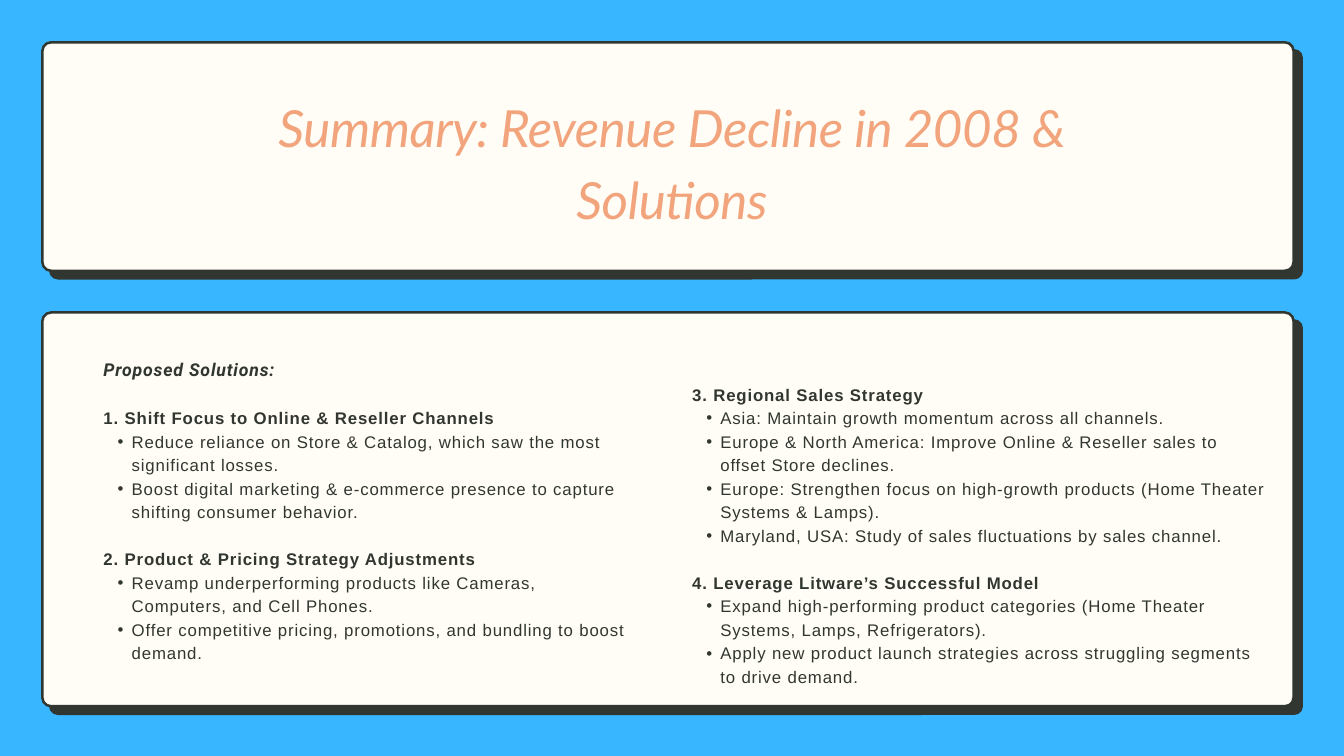
from lxml.etree import SubElement
from pptx import Presentation
from pptx.dml.color import RGBColor
from pptx.enum.shapes import MSO_SHAPE as Shape
from pptx.enum.text import MSO_AUTO_SIZE as AutoSize, PP_ALIGN as Align
from pptx.oxml.ns import qn
from pptx.util import Pt

PX = 9144  # 100 px to the inch
COLORS = {"sky": "38B6FF", "cream": "FFFDF5", "ink": "313730", "peach": "F2A47D"}
CORNER = 13
LINE_PITCH = 25.2

deck = Presentation()
deck.slide_width, deck.slide_height = 2000 * PX, 1125 * PX
page = deck.slides.add_slide(deck.slide_layouts[6])
page.background.fill.solid()
page.background.fill.fore_color.rgb = RGBColor.from_string(COLORS["sky"])


def add_text_box(left, top, width, height):
    box = page.shapes.add_textbox(left * PX, top * PX, width * PX, height * PX)
    frame = box.text_frame
    frame.margin_left = frame.margin_right = frame.margin_top = frame.margin_bottom = 0
    frame.word_wrap = True
    frame.auto_size = AutoSize.SHAPE_TO_FIT_TEXT
    return frame


def style(para, font_name, size, color, pitch, tracking, bold=False, italic=False):
    """Set font, line pitch in points and letter spacing in 1/100 pt."""
    para.line_spacing = Pt(pitch)
    font = para.font
    font.name, font.size, font.bold, font.italic = font_name, Pt(size), bold, italic
    font.color.rgb = RGBColor.from_string(COLORS[color])
    para._p.pPr.find(qn("a:defRPr")).set("spc", str(tracking))


# Cards, each with a hard offset shadow behind it
for top, height in ((63, 340), (465, 586)):
    for left, upper, width, depth, color in (
        (73, top + 10, 1866, height + 3, "ink"),
        (63, top, 1862, height, "cream"),
    ):
        card = page.shapes.add_shape(
            Shape.ROUNDED_RECTANGLE, left * PX, upper * PX, width * PX, depth * PX)
        card.adjustments[0] = CORNER / depth
        card.shadow.inherit = False
        card.fill.solid()
        card.fill.fore_color.rgb = RGBColor.from_string(COLORS[color])
        if color == "cream":
            card.line.color.rgb = RGBColor.from_string(COLORS["ink"])
            card.line.width = Pt(2.7)
        else:
            card.line.fill.background()

# Solutions: (box, [(heading, bullets)])
columns = [
    ((154, 602, 790, 376), [
        ("1. Shift Focus to Online & Reseller Channels", [
            "Reduce reliance on Store & Catalog, which saw the most significant losses.",
            "Boost digital marketing & e-commerce presence to capture shifting consumer behavior.",
        ]),
        ("2. Product & Pricing Strategy Adjustments", [
            "Revamp underperforming products like Cameras, Computers, and Cell Phones.",
            "Offer competitive pricing, promotions, and bundling to boost demand.",
        ]),
    ]),
    ((1030, 567, 858, 445), [
        ("3. Regional Sales Strategy", [
            "Asia: Maintain growth momentum across all channels.",
            "Europe & North America: Improve Online & Reseller sales to offset Store declines.",
            "Europe: Strengthen focus on high-growth products (Home Theater Systems & Lamps).",
            "Maryland, USA: Study of sales fluctuations by sales channel.",
        ]),
        ("4. Leverage Litware’s Successful Model", [
            "Expand high-performing product categories (Home Theater Systems, Lamps, Refrigerators).",
            "Apply new product launch strategies across struggling segments to drive demand.",
        ]),
    ]),
]
for place, sections in columns:
    frame = add_text_box(*place)
    for number, (heading, bullets) in enumerate(sections):
        para = frame.add_paragraph() if number else frame.paragraphs[0]
        para.text = heading
        if number:
            para.space_before = Pt(LINE_PITCH)
        style(para, "Arial", 18, "ink", LINE_PITCH, 90, bold=True)
        for bullet in bullets:
            para = frame.add_paragraph()
            para.text = bullet
            para.level = 1
            props = para._p.get_or_add_pPr()
            props.set("marL", str(42 * PX))
            props.set("indent", str(-21 * PX))
            SubElement(props, qn("a:buFont")).set("typeface", "Arial")
            SubElement(props, qn("a:buChar")).set("char", "•")
            style(para, "Arial", 18, "ink", LINE_PITCH, 90)

intro = add_text_box(154, 529, 790, 35).paragraphs[0]
intro.text = "Proposed Solutions:"
style(intro, "Roboto", 19, "ink", 26.6, 90, bold=True, italic=True)

title = add_text_box(398, 128, 1204, 209).paragraphs[0]
title.text = "Summary: Revenue Decline in 2008 & Solutions"
title.alignment = Align.CENTER
style(title, "Lato", 54.8, "peach", 76.8, -50, italic=True)

deck.save("out.pptx")
